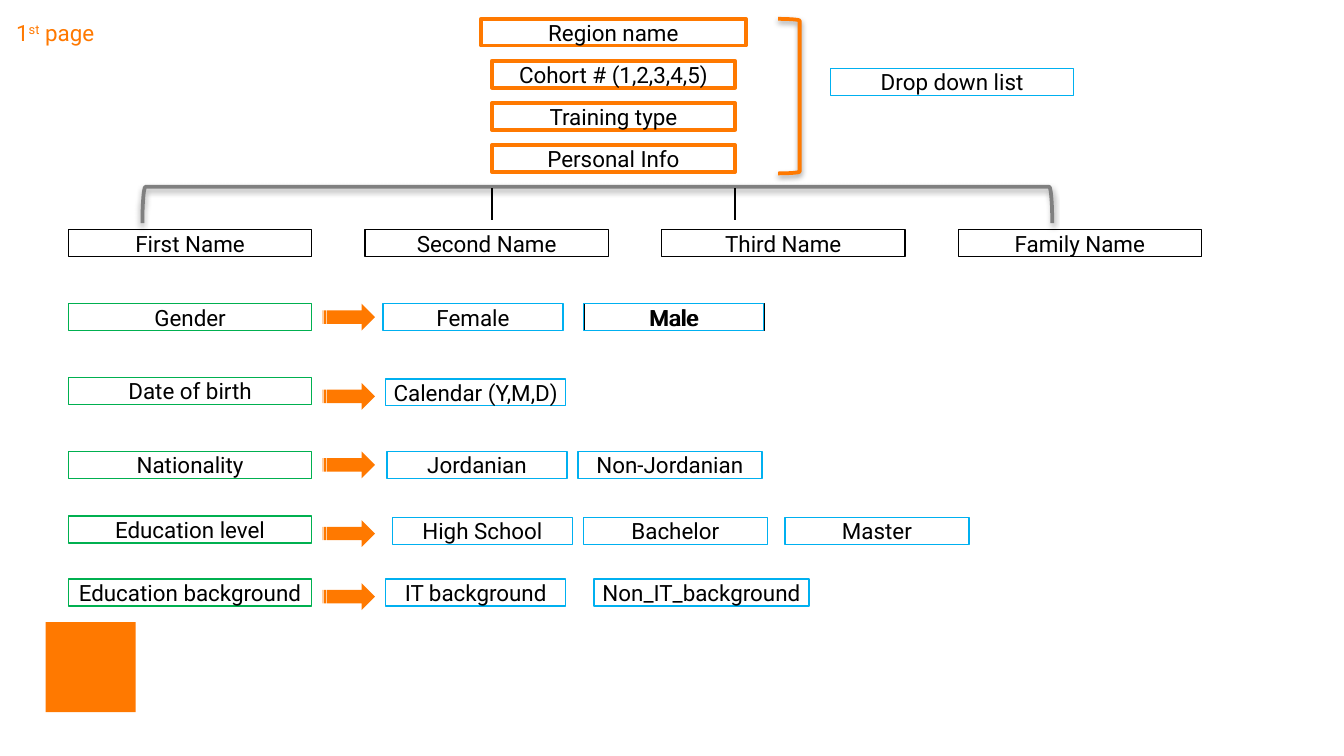
import pptx
import pptx.util
import pptx.dml.color
import pptx.enum.shapes
import pptx.enum.text
import pptx.oxml
import pptx.oxml.ns
from dataclasses import dataclass
from pptx.util import Inches

KIND = pptx.enum.shapes.MSO_SHAPE


@dataclass(frozen=True)
class Theme:
    font: str = "Roboto"
    size: int = 12
    orange: str = "FF7900"
    green: str = "00B050"
    blue: str = "00B0F0"
    black: str = "000000"
    gray: str = "808080"
    white: str = "FFFFFF"
    thin: float = 0.75
    thick: float = 2
    high: float = 0.2
    wide: float = 1.81


THEME = Theme()


def color(code):
    return pptx.dml.color.RGBColor.from_string(code)


def add_shape(slide, kind, area, fill=None, line=None, width=THEME.thin):
    shape = slide.shapes.add_shape(kind, *map(Inches, area))
    shape.shadow.inherit = False
    if fill:
        shape.fill.solid()
        shape.fill.fore_color.rgb = color(fill)
    else:
        shape.fill.background()
    if line:
        shape.line.color.rgb = color(line)
        shape.line.width = pptx.util.Pt(width)
    else:
        shape.line.fill.background()
    return shape


def set_frame(frame, tone):
    frame.margin_left = frame.margin_right = 0
    frame.margin_top = frame.margin_bottom = 0
    frame.word_wrap = True
    frame.auto_size = pptx.enum.text.MSO_AUTO_SIZE.SHAPE_TO_FIT_TEXT
    para = frame.paragraphs[0]
    para.font.name = THEME.font
    para.font.size = pptx.util.Pt(THEME.size)
    para.font.color.rgb = color(tone)
    return para


def add_box(slide, text, left, top, wide, line, fill=None, width=THEME.thin):
    area = (left, top, wide, THEME.high)
    box = add_shape(slide, KIND.RECTANGLE, area, fill, line, width)
    para = set_frame(box.text_frame, THEME.black)
    para.text = text
    para.alignment = pptx.enum.text.PP_ALIGN.CENTER


def add_brace(slide, area, line, turn=0):
    brace = add_shape(slide, KIND.RIGHT_BRACKET, area, None, line, THEME.thick)
    brace.rotation = turn
    props = brace._element.spPr
    props.remove(props.find(pptx.oxml.ns.qn("a:effectLst")))
    props.append(pptx.oxml.parse_xml(
        f'<a:effectLst {pptx.oxml.ns.nsdecls("a")}>'
        '<a:outerShdw blurRad="39370" dist="20320" dir="5400000" rotWithShape="0">'
        f'<a:srgbClr val="{THEME.black}"><a:alpha val="38000"/></a:srgbClr>'
        '</a:outerShdw></a:effectLst>'))


def add_stem(slide, left, top, base):
    ends = map(Inches, (left, top, left, base))
    stem = slide.shapes.add_connector(pptx.enum.shapes.MSO_CONNECTOR.STRAIGHT, *ends)
    stem.line.color.rgb = color(THEME.black)
    stem.line.width = pptx.util.Pt(THEME.thin)
    stem._element.spPr.append(pptx.oxml.parse_xml(
        f'<a:effectLst {pptx.oxml.ns.nsdecls("a")}/>'))


def add_title(slide):
    box = slide.shapes.add_textbox(*map(Inches, (0.12, 0.14, 0.94, THEME.high)))
    para = set_frame(box.text_frame, THEME.orange)
    for text, raised in (("1", False), ("st", True), (" page", False)):
        run = para.add_run()
        run.text = text
        if raised:
            run._r.get_or_add_rPr().set("baseline", "30000")


def add_header(slide):
    add_title(slide)
    names = ("Region name", "Cohort # (1,2,3,4,5)", "Training type", "Personal Info")
    for row, name in enumerate(names):
        extra = 0.08 if row == 0 else 0
        add_box(slide, name, 3.66 - extra, 0.14 + row * 0.94 / 3,
                THEME.wide + 2 * extra, THEME.orange, THEME.white, THEME.thick)
    add_brace(slide, (5.79, 0.14, 0.16, 1.15), THEME.orange)
    add_box(slide, "Drop down list", 6.18, 0.51, THEME.wide, THEME.blue)


def add_names(slide):
    add_brace(slide, (4.31, -1.86, 0.27, 6.77), THEME.gray, 270)
    for left in (3.66, 5.47):
        add_stem(slide, left, 1.4, 1.64)
    for col, name in enumerate(("First", "Second", "Third", "Family")):
        add_box(slide, f"{name} Name", 0.51 + col * 6.62 / 3, 1.71,
                THEME.wide, THEME.black)


def add_field(slide, name, top, arrow, level, options):
    add_box(slide, name, 0.51, top, THEME.wide, THEME.green)
    add_shape(slide, KIND.STRIPED_RIGHT_ARROW, (2.4, arrow, 0.39, THEME.high), THEME.orange)
    for text, left, wide in options:
        add_box(slide, text, left, level, wide, THEME.blue)


def main():
    deck = pptx.Presentation()
    deck.slide_width = Inches(10)
    deck.slide_height = deck.slide_width * 9 // 16
    slide = deck.slides.add_slide(deck.slide_layouts[6])
    add_shape(slide, KIND.RECTANGLE, (0.34, 4.63, 0.67, 0.67), THEME.orange)
    add_header(slide)
    add_names(slide)
    add_box(slide, "Male", 4.35, 2.26, 1.34, THEME.black)
    fields = (
        ("Gender", 2.26, 2.26, 2.26,
         (("Female", 2.85, 1.34), ("Male", 4.34, 1.34))),
        ("Date of birth", 2.81, 2.85, 2.82,
         (("Calendar (Y,M,D)", 2.87, 1.34),)),
        ("Nationality", 3.36, 3.36, 3.36,
         (("Jordanian", 2.88, 1.34), ("Non-Jordanian", 4.3, 1.37))),
        ("Education level", 3.84, 3.87, 3.85,
         (("High School", 2.92, 1.34), ("Bachelor", 4.34, 1.37), ("Master", 5.84, 1.37))),
        ("Education background", 4.31, 4.34, 4.31,
         (("IT background", 2.87, 1.34), ("Non_IT_background", 4.42, 1.6))),
    )
    for field in fields:
        add_field(slide, *field)
    deck.save("out.pptx")


if __name__ == "__main__":
    main()
